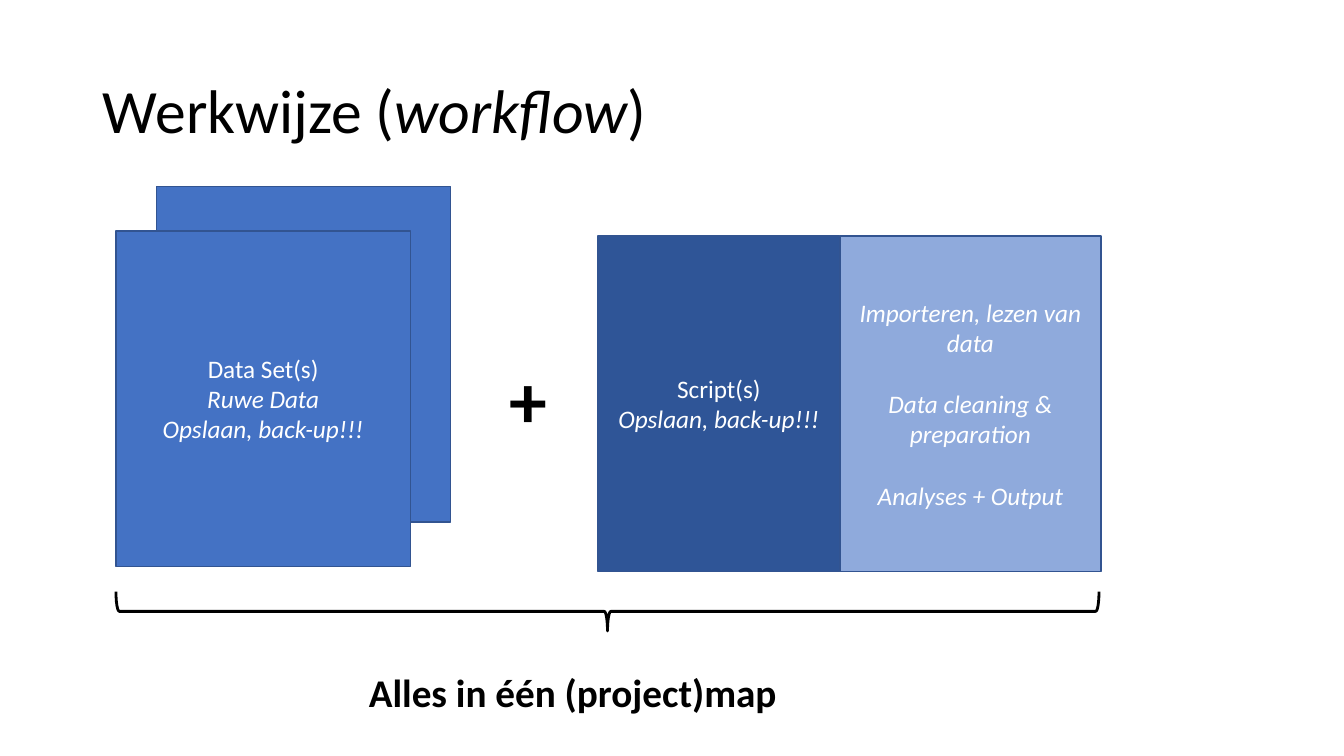
from dataclasses import dataclass

from pptx import Presentation
from pptx import util as u
from pptx.dml import color
from pptx.enum import shapes, text

FONT = "Calibri"
BLACK, WHITE, OUTLINE = "000000", "FFFFFF", "325491"
BOX_HEIGHT = 3.33


@dataclass(frozen=True)
class Line:
    words: str
    italic: bool = False
    gap: float = 0


@dataclass(frozen=True)
class Box:
    left: float
    top: float
    width: float
    fill: str
    lines: tuple[Line, ...] = ()


@dataclass(frozen=True)
class Label:
    left: float
    top: float
    width: float
    height: float
    words: str
    size: float


BOXES = (
    Box(1.55, 1.85, 2.92, "4472C4"),
    Box(1.15, 2.29, 2.92, "4472C4", (
        Line("Data Set(s)"),
        Line("Ruwe Data", True),
        Line("Opslaan, back-up!!!", True),
    )),
    Box(5.93, 2.34, 2.4, "2F5597", (
        Line("Script(s)"),
        Line("Opslaan, back-up!!!", True),
    )),
    Box(8.33, 2.34, 2.59, "8FAADC", (
        Line("Importeren, lezen van data", True),
        Line("Data cleaning & preparation", True, 22),
        Line("Analyses + Output", True, 22),
    )),
)

LABELS = (
    Label(4.95, 3.45, 0.58, 1.01, "+", 54),
    Label(3.56, 6.58, 4.29, 0.57, "Alles in één (project)map", 28),
)


def rgb(value: str) -> color.RGBColor:
    return color.RGBColor.from_string(value)


def set_font(font, size: float, hex_color: str) -> None:
    font.name = FONT
    font.size = u.Pt(size)
    font.color.rgb = rgb(hex_color)


def add_title(slide) -> None:
    title = slide.shapes.title
    title.left, title.top = u.Inches(0.92), u.Inches(0.4)
    title.width, title.height = u.Inches(11.5), u.Inches(1.45)
    title.text_frame.vertical_anchor = text.MSO_ANCHOR.MIDDLE
    paragraph = title.text_frame.paragraphs[0]
    paragraph.alignment = text.PP_ALIGN.LEFT
    paragraph.line_spacing = 0.9
    set_font(paragraph.font, 44, BLACK)
    for words, italic in (("Werkwijze (", False), ("workflow", True), (")", False)):
        run = paragraph.add_run()
        run.text = words
        run.font.italic = italic


def add_box(slide, box: Box) -> None:
    shape = slide.shapes.add_shape(
        shapes.MSO_SHAPE.RECTANGLE, u.Inches(box.left), u.Inches(box.top),
        u.Inches(box.width), u.Inches(BOX_HEIGHT))
    shape.shadow.inherit = False
    shape.fill.solid()
    shape.fill.fore_color.rgb = rgb(box.fill)
    shape.line.color.rgb = rgb(OUTLINE)
    shape.line.width = u.Pt(1)
    frame = shape.text_frame
    frame.word_wrap = True
    frame.vertical_anchor = text.MSO_ANCHOR.MIDDLE
    for index, line in enumerate(box.lines):
        paragraph = frame.add_paragraph() if index else frame.paragraphs[0]
        paragraph.text = line.words
        paragraph.alignment = text.PP_ALIGN.CENTER
        paragraph.space_before = u.Pt(line.gap)
        set_font(paragraph.font, 18, WHITE)
        paragraph.font.italic = line.italic


def add_label(slide, label: Label) -> None:
    shape = slide.shapes.add_textbox(
        u.Inches(label.left), u.Inches(label.top),
        u.Inches(label.width), u.Inches(label.height))
    frame = shape.text_frame
    frame.word_wrap = False
    frame.auto_size = text.MSO_AUTO_SIZE.SHAPE_TO_FIT_TEXT
    paragraph = frame.paragraphs[0]
    paragraph.text = label.words
    set_font(paragraph.font, label.size, BLACK)
    paragraph.font.bold = True


def add_brace(slide) -> None:
    brace = slide.shapes.add_shape(
        shapes.MSO_SHAPE.RIGHT_BRACE, u.Inches(5.83), u.Inches(1.19),
        u.Inches(0.39), u.Inches(9.75))
    brace.rotation = 90
    brace.shadow.inherit = False
    brace.fill.background()
    brace.line.color.rgb = rgb(BLACK)
    brace.line.width = u.Pt(2)


def main() -> None:
    presentation = Presentation()
    presentation.slide_width = u.Inches(13.33)
    presentation.slide_height = u.Inches(7.5)
    slide = presentation.slides.add_slide(presentation.slide_layouts[5])
    add_title(slide)
    for box in BOXES:
        add_box(slide, box)
    for label in LABELS:
        add_label(slide, label)
    add_brace(slide)
    presentation.save("out.pptx")


if __name__ == "__main__":
    main()
